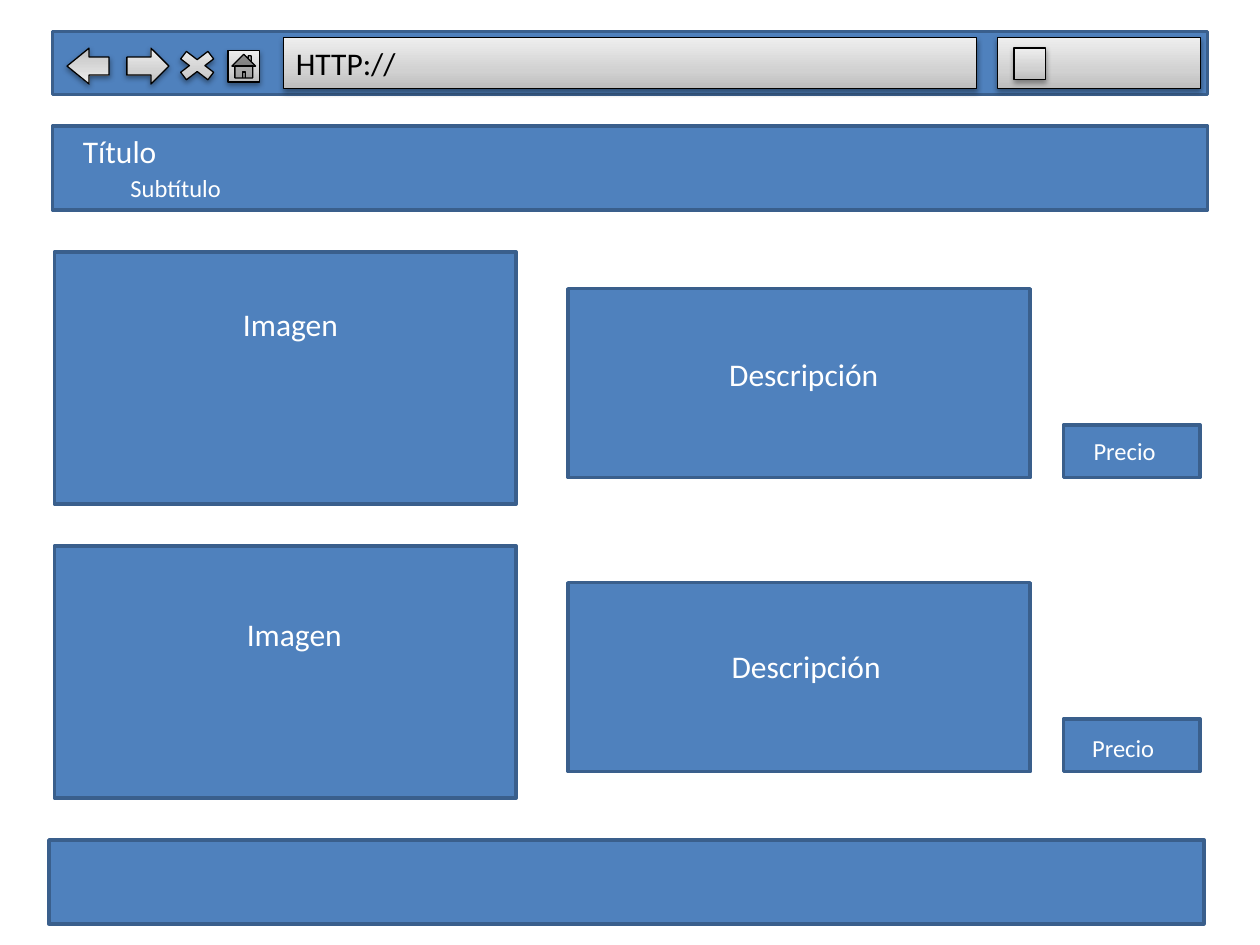
from dataclasses import dataclass

from pptx import Presentation
from pptx.dml.color import RGBColor
from pptx.enum.shapes import MSO_SHAPE
from pptx.enum.text import MSO_ANCHOR, MSO_AUTO_SIZE, PP_ALIGN
from pptx.oxml import parse_xml
from pptx.oxml.ns import nsdecls
from pptx.util import Pt

RECTANGLE = MSO_SHAPE.RECTANGLE
RIGHT_ARROW = MSO_SHAPE.RIGHT_ARROW
MULTIPLY = MSO_SHAPE.MATH_MULTIPLY
HOME = MSO_SHAPE.ACTION_BUTTON_HOME
BLANK_BUTTON = MSO_SHAPE.ACTION_BUTTON_CUSTOM
TOP = MSO_ANCHOR.TOP
GROW = MSO_AUTO_SIZE.SHAPE_TO_FIT_TEXT
LEFT, CENTER = PP_ALIGN.LEFT, PP_ALIGN.CENTER


@dataclass(frozen=True)
class Theme:
    panel: str = "4F81BD"
    panel_line: str = "3A5F8C"
    light: str = "FFFFFF"
    dark: str = "000000"
    control_stops: tuple = ((0, "BDBDBD"), (35, "D1D1D1"), (100, "EEEEEE"))
    font: str = "Calibri"
    large: int = 18
    small: int = 14
    panel_weight: float = 2
    control_weight: float = 0.75


THEME = Theme()


def add_outlined(slide, kind, box, color, weight):
    shape = slide.shapes.add_shape(kind, *map(Pt, box))
    shape.shadow.inherit = False
    shape.line.color.rgb = RGBColor.from_string(color)
    shape.line.width = Pt(weight)
    return shape


def add_panel(slide, box):
    shape = add_outlined(slide, RECTANGLE, box, THEME.panel_line, THEME.panel_weight)
    shape.fill.solid()
    shape.fill.fore_color.rgb = RGBColor.from_string(THEME.panel)


def add_control(slide, kind, box):
    shape = add_outlined(slide, kind, box, THEME.dark, THEME.control_weight)
    stops = "".join(
        f'<a:gs pos="{position * 1000}"><a:srgbClr val="{color}"/></a:gs>'
        for position, color in THEME.control_stops
    )
    properties = shape.element.spPr
    properties.insert(2, parse_xml(
        f'<a:gradFill {nsdecls("a")} rotWithShape="1"><a:gsLst>{stops}</a:gsLst>'
        '<a:lin ang="16200000" scaled="0"/></a:gradFill>'
    ))
    effects = properties.find("{http://schemas.openxmlformats.org/drawingml/2006/main}effectLst")
    effects.append(parse_xml(
        f'<a:outerShdw {nsdecls("a")} blurRad="{Pt(3.1)}" dist="{Pt(1.6)}" '
        f'dir="5400000" rotWithShape="0"><a:srgbClr val="{THEME.dark}">'
        '<a:alpha val="38000"/></a:srgbClr></a:outerShdw>'
    ))
    return shape


def write(shape, text, size, color, alignment=LEFT):
    frame = shape.text_frame
    frame.word_wrap = True
    frame.auto_size = GROW
    frame.vertical_anchor = TOP
    paragraph = frame.paragraphs[0]
    paragraph.alignment = alignment
    run = paragraph.add_run()
    run.text = text
    run.font.name = THEME.font
    run.font.size = Pt(size)
    run.font.color.rgb = RGBColor.from_string(color)


def add_label(slide, box, text, size, alignment=LEFT):
    write(slide.shapes.add_textbox(*map(Pt, box)), text, size, THEME.light, alignment)


def browser_bar(slide, box):
    left, top, width, height = box
    add_panel(slide, box)
    address = add_control(slide, RECTANGLE, (left + 132, top + 3.6, 396, 29.1))
    write(address, "HTTP://", THEME.large, THEME.dark)
    add_control(slide, RIGHT_ARROW, (left + 42.5, top + 9.5, 24, 20.5))
    back = add_control(slide, RIGHT_ARROW, (left + 8.3, top + 9.5, 24, 20.5))
    back.rotation = 180
    back.adjustments[1] = 0.613
    add_control(slide, MULTIPLY, (left + 67.7, top + 8, 30, 23))
    add_control(slide, HOME, (left + 100.3, top + 10.8, 18, 18))
    add_control(slide, RECTANGLE, (left + 540, top + 3.6, 116, 29.1))
    add_control(slide, BLANK_BUTTON, (left + 549.5, top + 9.5, 18, 18))


def page_header(slide, box):
    left, top, width, height = box
    add_panel(slide, box)
    add_label(slide, (left + 10.3, top, 89, 29), "Título", THEME.large)
    add_label(slide, (left + 37.5, top + 23.3, 72, 24.2), "Subtítulo", THEME.small)


def product_row(slide, left, top, image_label, description_label, price_label):
    for x, y, width, height in (
        (0, 0, 264, 144), (293.7, 21, 264, 108), (576.7, 98.8, 78, 30.2),
    ):
        add_panel(slide, (left + x, top + y, width, height))
    for (x, y), width, height, text, size, alignment in (
        (image_label, 136, 29, "Imagen", THEME.large, CENTER),
        (description_label, 174, 29, "Descripción", THEME.large, CENTER),
        (price_label, 60, 24.2, "Precio", THEME.small, LEFT),
    ):
        add_label(slide, (left + x, top + y, width, height), text, size, alignment)


presentation = Presentation()
presentation.slide_width = Pt(720)
presentation.slide_height = Pt(540)
slide = presentation.slides.add_slide(presentation.slide_layouts[6])

browser_bar(slide, (30, 18, 660, 36))
page_header(slide, (30, 72, 660, 48))
product_row(slide, 31, 144, (67, 26.6), (341.3, 55.4), (586.8, 101.5))
product_row(slide, 31, 312, (69.2, 36), (342.7, 54), (586, 103.5))
add_panel(slide, (28, 480, 660, 48))

presentation.save("out.pptx")
